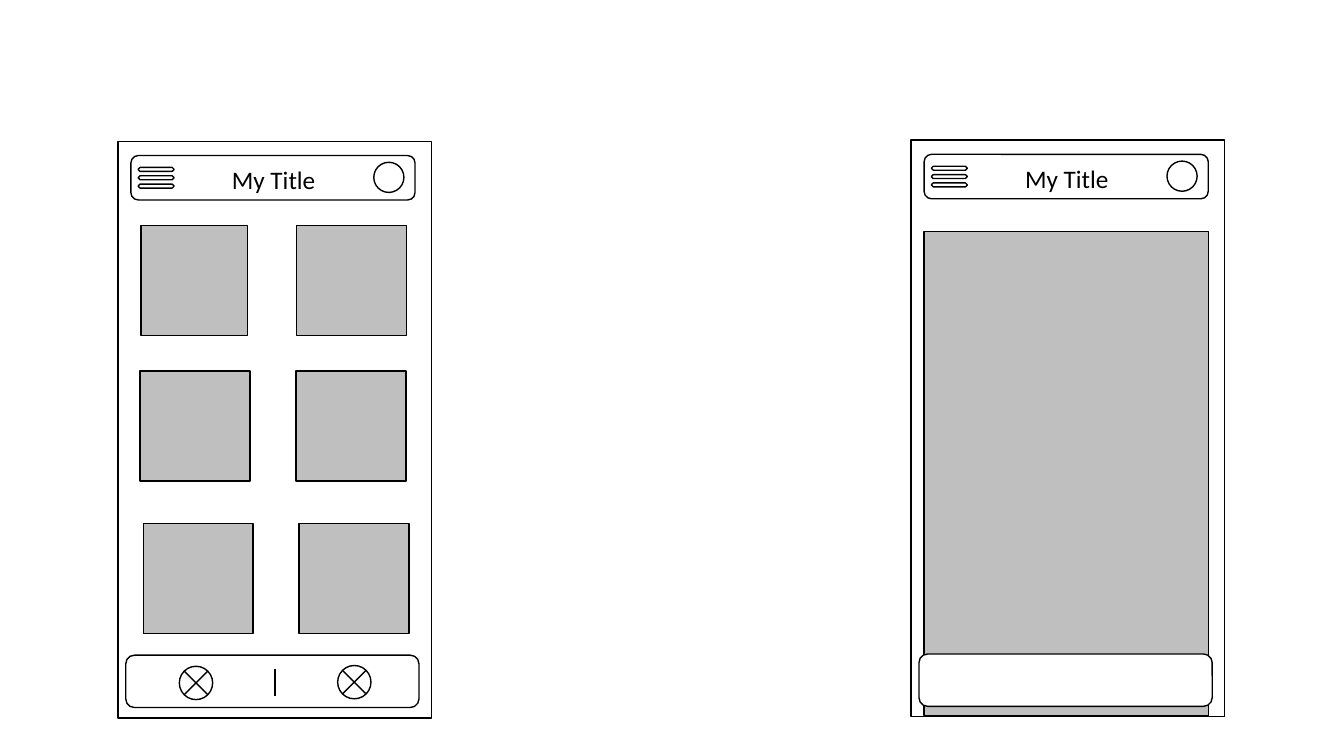
from lxml import etree
from pptx import Presentation
from pptx.dml.color import RGBColor
from pptx.enum.shapes import MSO_CONNECTOR, MSO_SHAPE
from pptx.enum.text import MSO_AUTO_SIZE, PP_ALIGN
from pptx.oxml.ns import qn
from pptx.util import Cm, Pt

RECTANGLE = MSO_SHAPE.RECTANGLE
ROUNDED = MSO_SHAPE.ROUNDED_RECTANGLE
OVAL = MSO_SHAPE.OVAL
SNIPPED = MSO_SHAPE.SNIP_2_DIAG_RECTANGLE
JUNCTION = MSO_SHAPE.FLOWCHART_SUMMING_JUNCTION
STRAIGHT = MSO_CONNECTOR.STRAIGHT
CENTER = PP_ALIGN.CENTER
FIT_SHAPE = MSO_AUTO_SIZE.SHAPE_TO_FIT_TEXT

COLORS = {"white": "FFFFFF", "gray": "BFBFBF", "black": "000000"}
BLANK_LAYOUT = 6

# Top left corners of the two phones, in cm
GRID_PHONE = (2.97, 3.56)
DETAIL_PHONE = (22.96, 3.53)

# Tile rows within the phone: left, top, width of the first tile
TILE_ROWS = [(0.58, 2.13, 2.69), (0.56, 5.79, 2.77), (0.64, 9.63, 2.77)]
TILE_SIZE = 2.77
TILE_PITCH = 3.93


def color(name):
    return RGBColor.from_string(COLORS[name])


def add_box(shapes, kind, origin, left, top, width, height, fill="white"):
    """Add an outlined shape placed relative to a phone's corner."""
    shape = shapes.add_shape(kind, Cm(origin[0] + left), Cm(origin[1] + top),
                             Cm(width), Cm(height))
    shape.shadow.inherit = False
    shape.fill.solid()
    shape.fill.fore_color.rgb = color(fill)
    shape.line.color.rgb = color("black")
    shape.line.width = Pt(1)
    return shape


def add_menu_icon(shapes, origin):
    group = shapes.add_group_shape()
    for index in range(3):
        bar = add_box(group.shapes, SNIPPED, origin,
                      0.51, 0.66 + index * 0.21, 0.91, 0.1)
        bar.adjustments[0] = 0.5
        bar.adjustments[1] = 0.5


def add_title(shapes, origin, text):
    box = shapes.add_textbox(Cm(origin[0] + 1.6), Cm(origin[1] + 0.46),
                             Cm(4.65), Cm(1.02))
    frame = box.text_frame
    frame.word_wrap = True
    frame.auto_size = FIT_SHAPE
    paragraph = frame.paragraphs[0]
    paragraph.text = text
    paragraph.alignment = CENTER
    paragraph.font.name = "Calibri"
    paragraph.font.size = Pt(18)
    paragraph.font.color.rgb = color("black")


def add_header(shapes, origin):
    add_box(shapes, ROUNDED, origin, 0.33, 0.36, 7.16, 1.12)
    add_box(shapes, OVAL, origin, 6.45, 0.53, 0.76, 0.76)
    add_menu_icon(shapes, origin)
    add_title(shapes, origin, "My Title")


def add_frame(shapes, origin):
    add_box(shapes, RECTANGLE, origin, 0, 0, 7.9, 14.53)


def add_footer(shapes, origin):
    add_box(shapes, ROUNDED, origin, 0.2, 12.95, 7.39, 1.32)


def add_tiles(shapes, origin):
    for left, top, first_width in TILE_ROWS:
        for column, width in enumerate((first_width, TILE_SIZE)):
            add_box(shapes, RECTANGLE, origin, left + column * TILE_PITCH, top,
                    width, TILE_SIZE, "gray")


def add_divider(shapes, origin):
    x = Cm(origin[0] + 3.96)
    divider = shapes.add_connector(STRAIGHT, x, Cm(origin[1] + 13.31),
                                   x, Cm(origin[1] + 13.97))
    divider.line.color.rgb = color("black")
    divider.line.width = Pt(1.5)
    properties = divider._element.spPr
    etree.SubElement(properties, qn("a:effectLst"))


def main():
    presentation = Presentation()
    presentation.slide_width = Cm(33.87)
    presentation.slide_height = Cm(19.05)
    layout = presentation.slide_layouts[BLANK_LAYOUT]
    shapes = presentation.slides.add_slide(layout).shapes

    # Phone with a grid of tiles
    add_frame(shapes, GRID_PHONE)
    add_header(shapes, GRID_PHONE)
    add_tiles(shapes, GRID_PHONE)
    add_footer(shapes, GRID_PHONE)
    add_divider(shapes, GRID_PHONE)
    for left, top in ((1.55, 13.23), (5.54, 13.21)):
        add_box(shapes, JUNCTION, GRID_PHONE, left, top, 0.84, 0.84)

    # Phone with one large panel behind the footer
    add_frame(shapes, DETAIL_PHONE)
    add_header(shapes, DETAIL_PHONE)
    add_box(shapes, RECTANGLE, DETAIL_PHONE, 0.33, 2.31, 7.16, 12.19, "gray")
    add_footer(shapes, DETAIL_PHONE)

    presentation.save("out.pptx")


if __name__ == "__main__":
    main()
